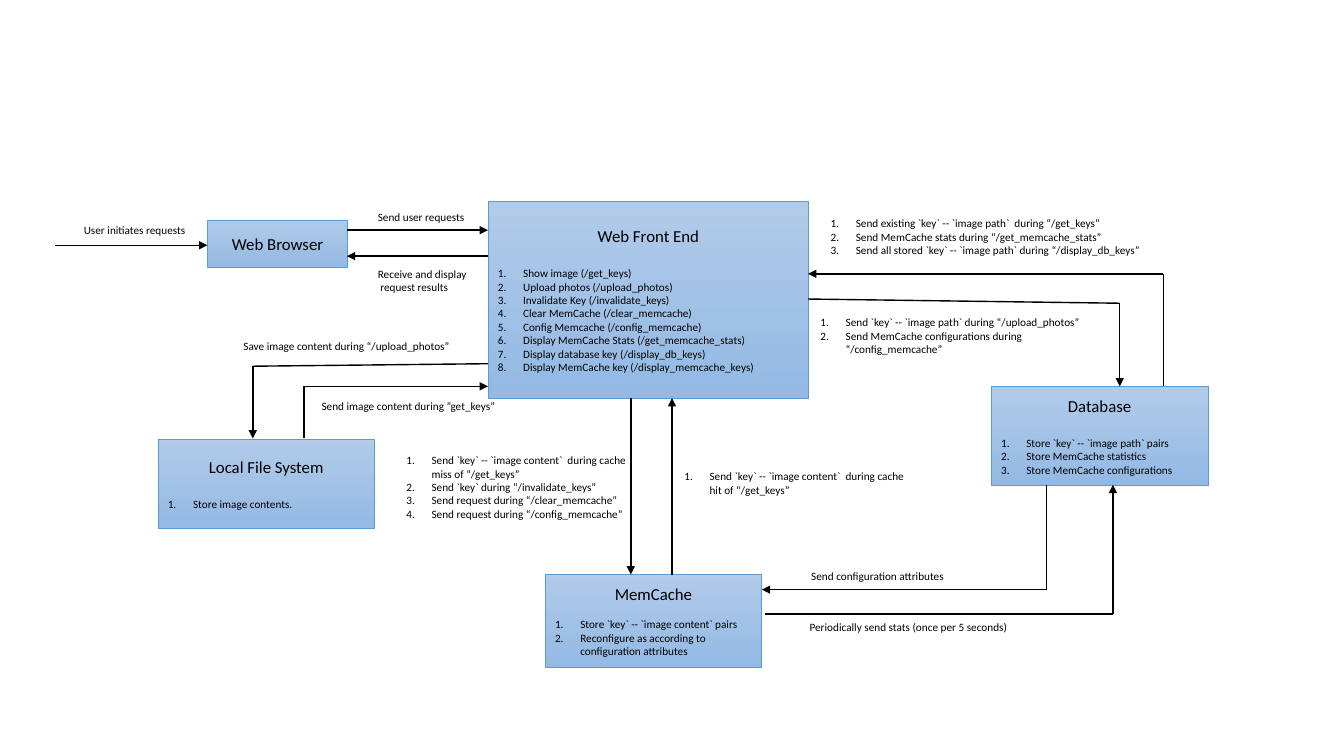
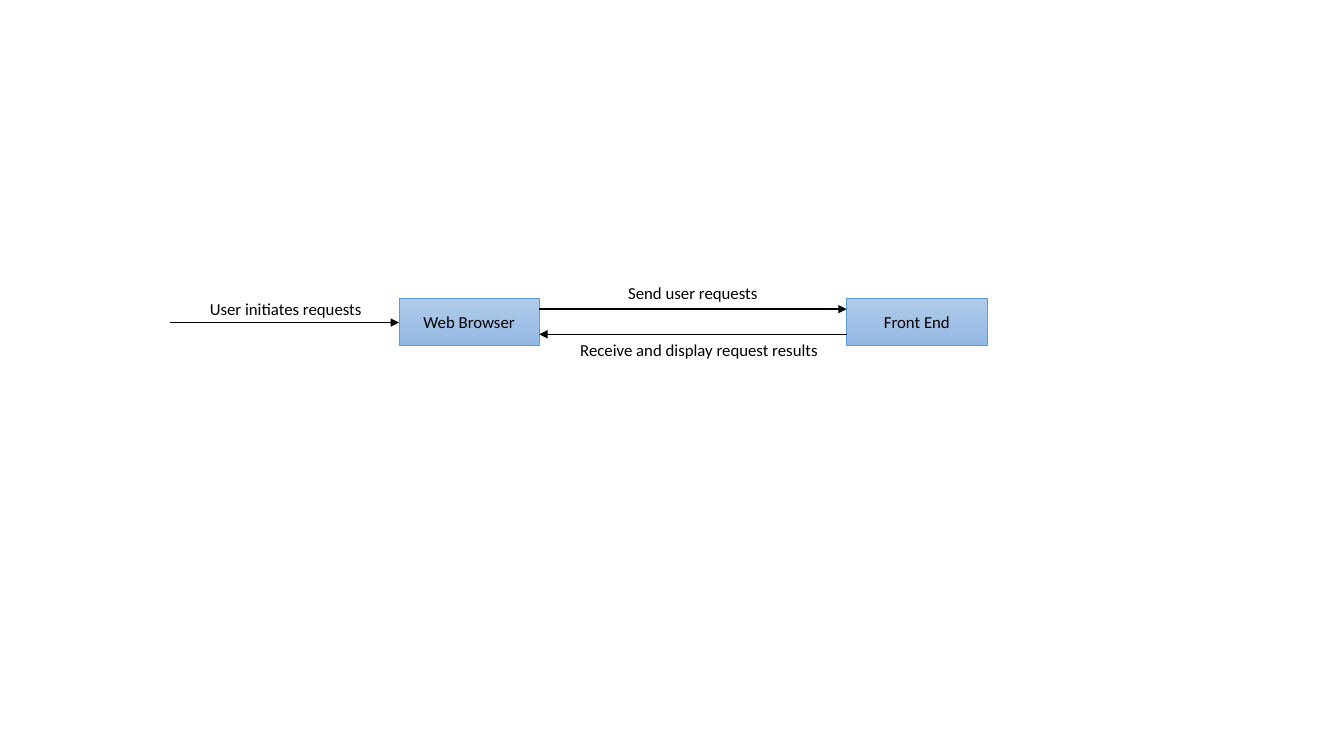
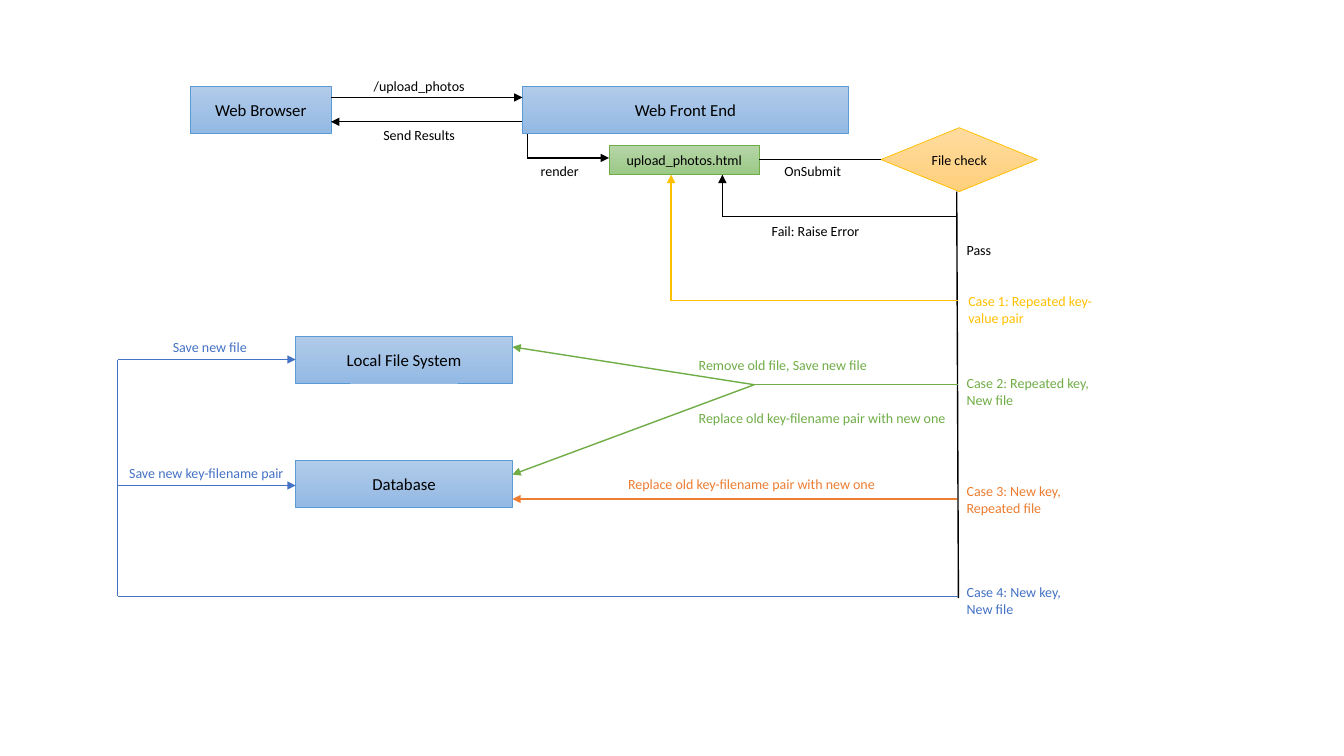
from dataclasses import dataclass
from itertools import pairwise

from lxml.etree import SubElement
from pptx import Presentation
from pptx.dml.color import RGBColor
from pptx.enum.shapes import MSO_CONNECTOR, MSO_SHAPE
from pptx.enum.text import MSO_ANCHOR, PP_ALIGN
from pptx.oxml.ns import qn
from pptx.util import Inches, Pt


@dataclass(frozen=True)
class Theme:
    font: str = "Calibri"
    ink: str = "000000"
    gold: str = "FFC000"
    green: str = "70AD47"
    orange: str = "ED7D31"
    blue: str = "4472C4"
    sky: tuple = ("B1CBE9", "93B9E4", "5B9BD5")
    leaf: tuple = ("B5D5A7", "9CC987", "70AD47")
    sand: tuple = ("FFDB9E", "FFD07C", "FFC000")
    small: int = 8
    body: int = 10
    head: int = 12


def cell(count):
    return Inches(count / 12)


def put(item, **values):
    for name, value in values.items():
        setattr(item, name, value)


class Deck:
    """Draws boxes, notes and wires on a grid of 160 columns by 90 rows."""

    def __init__(self, theme):
        self.theme = theme
        self.show = Presentation()
        put(self.show, slide_width=cell(160), slide_height=cell(90))

    def page(self, size):
        self.size = size
        self.slide = self.show.slides.add_slide(self.show.slide_layouts[6])

    def label(self, frame, rows, size, tone=None, align=PP_ALIGN.LEFT, count=False):
        for row in rows:
            used = frame.paragraphs[0].runs
            para = frame.add_paragraph() if used else frame.paragraphs[0]
            para.alignment = align
            run = para.add_run()
            run.text = row
            put(run.font, size=Pt(size), name=self.theme.font)
            run.font.color.rgb = RGBColor.from_string(tone or self.theme.ink)
            if count:
                props = para._p.get_or_add_pPr()
                props.set("marL", str(Inches(0.25)))
                props.set("indent", str(-Inches(0.25)))
                SubElement(props, qn("a:buFont"), typeface="+mj-lt")
                SubElement(props, qn("a:buAutoNum"), type="arabicPeriod")

    def box(self, title, x, y, wide=16.7, high=5.6, rows=(), gap=14.6,
            size=None, tint=None, kind=MSO_SHAPE.RECTANGLE):
        shape = self.slide.shapes.add_shape(kind, *map(cell, (x, y, wide, high)))
        shape.shadow.inherit = False
        *fade, edge = tint or self.theme.sky
        shape.fill.gradient()
        shape.fill.gradient_angle = 270
        for stop, tone in zip(shape.fill.gradient_stops, fade):
            stop.color.rgb = RGBColor.from_string(tone)
        shape.line.color.rgb = RGBColor.from_string(edge)
        shape.line.width = Pt(0.5)
        frame = shape.text_frame
        put(frame, word_wrap=True, vertical_anchor=MSO_ANCHOR.MIDDLE)
        self.label(frame, [title], size or self.theme.head, align=PP_ALIGN.CENTER)
        if rows:
            frame.paragraphs[0].space_after = Pt(gap)
            self.label(frame, rows, self.theme.small, count=True)

    def note(self, x, y, wide, *rows, lines=None, **style):
        high = 1.2 + (lines or len(rows)) * self.size * 0.2
        area = self.slide.shapes.add_textbox(*map(cell, (x, y, wide, high)))
        area.text_frame.word_wrap = True
        self.label(area.text_frame, rows, self.size, **style)

    def wire(self, *stops, tone=None, head=True):
        for start, end in pairwise(stops):
            line = self.slide.shapes.add_connector(
                MSO_CONNECTOR.STRAIGHT, *map(cell, start + end))
            line.line.color.rgb = RGBColor.from_string(tone or self.theme.ink)
            line.line.width = Pt(1)
            props = line.element.spPr
            if head and end == stops[-1]:
                SubElement(props.find(qn("a:ln")), qn("a:tailEnd"), type="triangle")
            SubElement(props, qn("a:effectLst"))


theme = Theme()
deck = Deck(theme)
WIDE = 25.8

deck.page(theme.small)
deck.box("Web Browser", 24.7, 26.2)
deck.box("Web Front End", 58.1, 24, 38.2, 23.4, (
    "Show image (/get_keys)",
    "Upload photos (/upload_photos)",
    "Invalidate Key (/invalidate_keys)",
    "Clear MemCache (/clear_memcache)",
    "Config Memcache (/config_memcache)",
    "Display MemCache Stats (/get_memcache_stats)",
    "Display database key (/display_db_keys)",
    "Display MemCache key (/display_memcache_keys)"))
deck.box("Database", 118, 46, WIDE, 11.8, (
    "Store `key` -- `image path` pairs",
    "Store MemCache statistics",
    "Store MemCache configurations"))
deck.box("MemCache", 64.9, 68.4, WIDE, 11, (
    "Store `key` -- `image content` pairs",
    "Reconfigure as according to configuration attributes"), gap=9.8)
deck.box("Local File System", 18.8, 52.3, WIDE, 10.6, ("Store image contents.",))

for stops in (
        ((6.6, 29.2), (24.7, 29.2)),
        ((41.3, 27.4), (58.1, 27.4)),
        ((58.1, 30.5), (41.3, 30.5)),
        ((36.2, 52.1), (36.2, 46), (58.1, 46)),
        ((58.1, 43.3), (30.1, 43.6), (30.1, 52.2)),
        ((75.1, 47.4), (75.1, 68.4)),
        ((80, 68.4), (80, 47.4)),
        ((124.6, 57.7), (124.6, 70.2), (90.7, 70.2)),
        ((91.1, 73.1), (132.5, 73.1), (132.5, 57.7)),
        ((96.2, 35.6), (133.3, 36.1), (133.3, 46)),
        ((138.5, 46), (138.5, 32.6), (96.2, 32.6))):
    deck.wire(*stops)

deck.note(8.8, 26, 21.8, "User initiates requests")
deck.note(43.8, 24.5, 18, "Send user requests")
deck.note(43.8, 31.2, 31.9, "Receive and display", " request results")
deck.note(27.8, 39.8, 29, "Save image content during “/upload_photos”")
deck.note(37.1, 47, 28, "Send image content during ”get_keys”")
deck.note(95.4, 67.2, 26.4, "Send configuration attributes")
deck.note(95.2, 73.3, 39, "Periodically send stats (once per 5 seconds)")
deck.note(96.5, 37, 36.7,
          "Send `key` -- `image path` during “/upload_photos”",
          "Send MemCache configurations during “/config_memcache”",
          lines=3, count=True)
deck.note(97.7, 25.2, 48.6,
          "Send existing `key` -- `image path`  during “/get_keys”",
          "Send MemCache stats during “/get_memcache_stats”",
          "Send all stored `key` -- `image path` during “/display_db_keys”",
          count=True)
deck.note(47.2, 53.4, 30.2,
          "Send `key` -- `image content`  during cache miss of “/get_keys”",
          "Send `key` during “/invalidate_keys”",
          "Send request during “/clear_memcache”",
          "Send request during “/config_memcache”",
          lines=5, count=True)
deck.note(80.3, 55.3, 30.2,
          "Send `key` -- `image content`  during cache hit of “/get_keys”",
          lines=2, count=True)

deck.page(theme.head)
deck.box("Web Browser", 47.5, 35.5)
deck.box("Front End", 100.8, 35.5)
deck.wire((20.2, 38.4), (47.5, 38.4))
deck.wire((64.2, 36.8), (100.8, 36.8))
deck.wire((100.8, 39.8), (64.2, 39.8))
deck.note(23.8, 35, 21.8, "User initiates requests")
deck.note(73.6, 33.1, 18, "Send user requests")
deck.note(67.9, 39.8, 31.9, "Receive and display request results")

deck.page(theme.body)
deck.box("Web Browser", 22.7, 10.3)
deck.box("Web Front End", 62.2, 10.3, 38.8)
deck.box("Local File System", 35.2, 40, WIDE)
deck.box("Database", 35.2, 54.8, WIDE)
deck.box("upload_photos.html", 72.5, 17.3, 17.9, 3.5,
         size=theme.body, tint=theme.leaf)
deck.box("File check", 104.9, 15.2, 18.6, 7.6, size=theme.body,
         tint=theme.sand, kind=MSO_SHAPE.DIAMOND)

fork = (89.8, 45.8)
deck.wire((39.4, 11.6), (62.2, 11.6))
deck.wire((62.2, 14.5), (39.4, 14.5))
deck.wire((62.8, 16), (62.8, 18.8), (72.5, 18.8))
deck.wire((90.4, 19), (104.9, 19), head=False)
deck.wire((113.9, 22.8), (114.1, 71.2), head=False)
deck.wire((113.9, 25.8), (86, 25.8), (86, 20.8))
deck.wire((114, 35.8), (79.9, 35.8), (79.9, 20.8), tone=theme.gold)
deck.wire((114, 45.8), fork, (61, 41.3), tone=theme.green)
deck.wire(fork, (61, 56.5), tone=theme.green)
deck.wire((113.9, 59.4), (61, 59.4), tone=theme.orange)
deck.wire((114, 71), (14, 71), (14, 42.8), (35.2, 42.8), tone=theme.blue)
deck.wire((14, 57.8), (35.2, 57.8), tone=theme.blue)

deck.note(41, 8.6, 17.8, "/upload_photos", align=PP_ALIGN.CENTER)
deck.note(41, 14.5, 17.8, "Send Results", align=PP_ALIGN.CENTER)
deck.note(63.2, 18.7, 7.7, "render")
deck.note(92.2, 18.8, 10.8, "OnSubmit")
deck.note(90.7, 25.9, 14.6, "Fail: Raise Error")
deck.note(113.9, 28.2, 10.8, "Pass")
swap = "Replace old key-filename pair with new one"
for x, y, wide, text, lines, tone in (
        (114.1, 34.2, 19.7, "Case 1: Repeated key-value pair", 2, theme.gold),
        (113.9, 44, 19.7, "Case 2: Repeated key, New file", 2, theme.green),
        (113.9, 56.9, 19.7, "Case 3: New key, Repeated file", 2, theme.orange),
        (113.9, 68.9, 16, "Case 4: New key, New file", 2, theme.blue),
        (82, 41.8, 25.2, "Remove old file, Save new file", 1, theme.green),
        (82, 48.1, 33.8, swap, 1, theme.green),
        (73.6, 56, 35.5, swap, 1, theme.orange),
        (19.4, 39.7, 19.7, "Save new file", 1, theme.blue),
        (14.2, 54.7, 22.6, "Save new key-filename pair", 1, theme.blue)):
    deck.note(x, y, wide, text, lines=lines, tone=tone)

deck.show.save("out.pptx")
